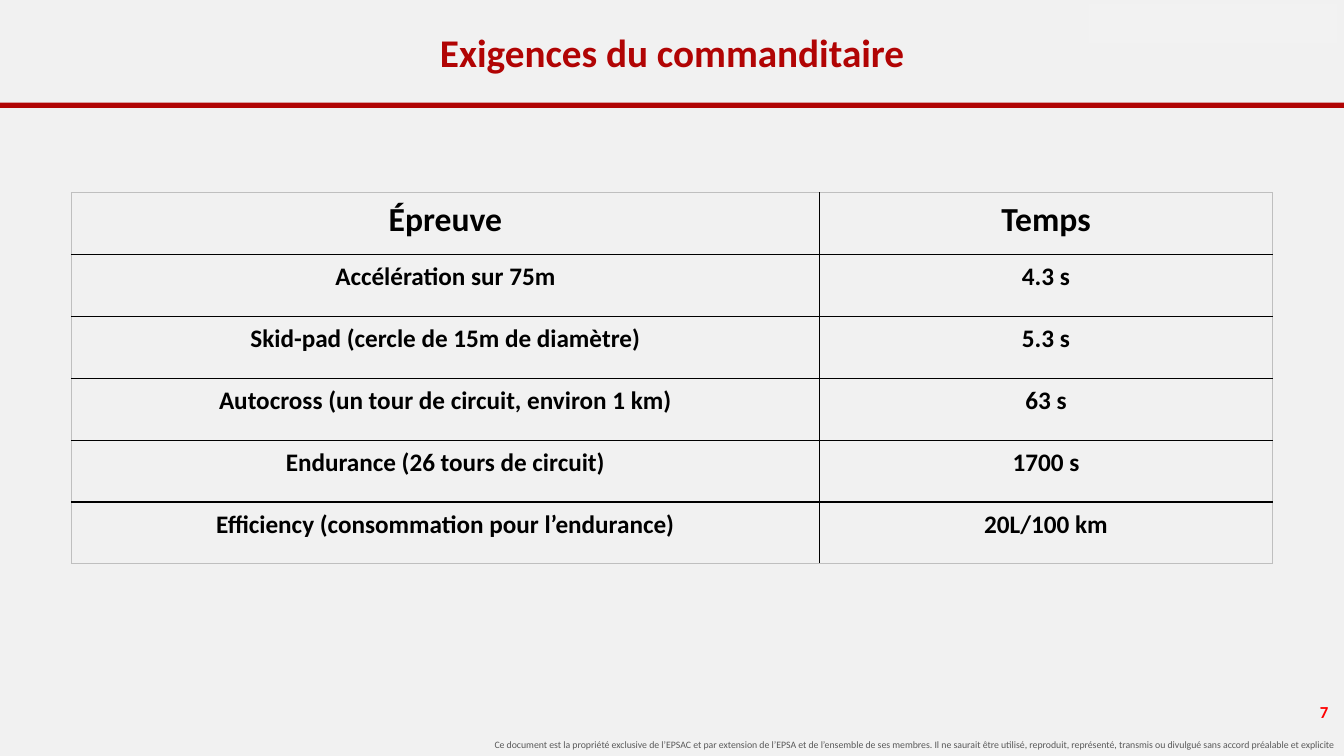
"""Build the slide of sponsor requirements with its table of events and times."""
from typing import NamedTuple

from lxml.etree import SubElement
from pptx import Presentation
from pptx.dml.color import RGBColor
from pptx.enum.shapes import MSO_SHAPE as Preset
from pptx.enum.text import MSO_ANCHOR as Anchor, PP_ALIGN as Align
from pptx.oxml.ns import qn
from pptx.slide import Slide
from pptx.table import _Cell as Cell
from pptx.text.text import TextFrame
from pptx.util import Cm, Pt

FONT = "Calibri"
RED = "B10404"
BLACK = "000000"
PAGE_WIDTH = 33.87
COLUMN_WIDTHS = (18.85, 11.42)
ROW_HEIGHT = 1.56


class Box(NamedTuple):
    left: float
    top: float
    width: float
    height: float


class Style(NamedTuple):
    size: float
    color: str
    bold: bool
    align: Align
    anchor: Anchor = Anchor.MIDDLE


class Label(NamedTuple):
    box: Box
    text: str
    style: Style


class Band(NamedTuple):
    box: Box
    color: str


class Event(NamedTuple):
    name: str
    time: str


BANDS = (
    Band(Box(0, 2.59, PAGE_WIDTH, 0.13), RED),
    Band(Box(27.43, 0.1, 6.27, 0.99), "F2F2F2"),
)
LABELS = (
    Label(
        Box(0, 18.49, PAGE_WIDTH, 0.56),
        "Ce document est la propriété exclusive de l’EPSAC et par extension de l’EPSA "
        "et de l’ensemble de ses membres. Il ne saurait être utilisé, reproduit, "
        "représenté, transmis ou divulgué sans accord préalable et explicite",
        Style(7, "595959", False, Align.RIGHT, Anchor.TOP),
    ),
    Label(
        Box(0, 0.08, PAGE_WIDTH, 2.46),
        "Exigences du commanditaire",
        Style(28, RED, True, Align.CENTER),
    ),
    Label(Box(30.28, 17.32, 3.45, 1.22), "7", Style(12, "FF0000", True, Align.RIGHT)),
)
EVENTS = (
    Event("Épreuve", "Temps"),
    Event("Accélération sur 75m", "4.3 s"),
    Event("Skid-pad (cercle de 15m de diamètre)", "5.3 s"),
    Event("Autocross (un tour de circuit, environ 1 km)", "63 s"),
    Event("Endurance (26 tours de circuit)", "1700 s"),
    Event("Efficiency (consommation pour l’endurance)", "20L/100 km"),
)
HEADING = Style(24, BLACK, True, Align.CENTER, Anchor.TOP)
ENTRY = HEADING._replace(size=18)


def rgb(color: str) -> RGBColor:
    return RGBColor.from_string(color)


def write(frame: TextFrame, text: str, style: Style) -> None:
    frame.text = text
    paragraph = frame.paragraphs[0]
    paragraph.alignment = style.align
    font = paragraph.runs[0].font
    font.name = FONT
    font.size = Pt(style.size)
    font.bold = style.bold
    font.color.rgb = rgb(style.color)


def draw_band(slide: Slide, band: Band) -> None:
    strip = slide.shapes.add_shape(Preset.RECTANGLE, *map(Cm, band.box))
    strip.shadow.inherit = False
    strip.fill.solid()
    strip.fill.fore_color.rgb = rgb(band.color)
    strip.line.fill.background()


def draw_label(slide: Slide, label: Label) -> None:
    frame = slide.shapes.add_textbox(*map(Cm, label.box)).text_frame
    frame.word_wrap = True
    frame.vertical_anchor = label.style.anchor
    write(frame, label.text, label.style)


def draw_border(cell: Cell, side: str, outer: bool) -> None:
    properties = cell._tc.get_or_add_tcPr()
    border = SubElement(properties, qn(f"a:ln{side}"), w=str(Pt(0.75 if outer else 1)))
    fill = SubElement(border, qn("a:solidFill"))
    SubElement(fill, qn("a:srgbClr"), val="BFBFBF" if outer else BLACK)


def draw_events(slide: Slide) -> None:
    last_row, last_column = len(EVENTS) - 1, len(COLUMN_WIDTHS) - 1
    box = Box(1.8, 4.85, sum(COLUMN_WIDTHS), ROW_HEIGHT * len(EVENTS))
    table = slide.shapes.add_table(
        len(EVENTS), len(COLUMN_WIDTHS), *map(Cm, box)
    ).table
    table.first_row = table.horz_banding = False
    for column, width in zip(table.columns, COLUMN_WIDTHS):
        column.width = Cm(width)
    for row, event in enumerate(EVENTS):
        table.rows[row].height = Cm(ROW_HEIGHT)
        for column, text in enumerate(event):
            cell = table.cell(row, column)
            cell.margin_left = cell.margin_right = Cm(0.18)
            cell.margin_top = cell.margin_bottom = Cm(0.18)
            edges = {
                "L": column == 0,
                "R": column == last_column,
                "T": row == 0,
                "B": row == last_row,
            }
            for side, outer in edges.items():
                draw_border(cell, side, outer)
            cell.fill.background()
            write(cell.text_frame, text, ENTRY if row else HEADING)


def main() -> None:
    deck = Presentation()
    deck.slide_width, deck.slide_height = Cm(PAGE_WIDTH), Cm(19.05)
    slide = deck.slides.add_slide(deck.slide_layouts[6])
    slide.background.fill.solid()
    slide.background.fill.fore_color.rgb = rgb("F1F1F1")
    for band in BANDS:
        draw_band(slide, band)
    for label in LABELS:
        draw_label(slide, label)
    draw_events(slide)
    deck.save("out.pptx")


if __name__ == "__main__":
    main()
